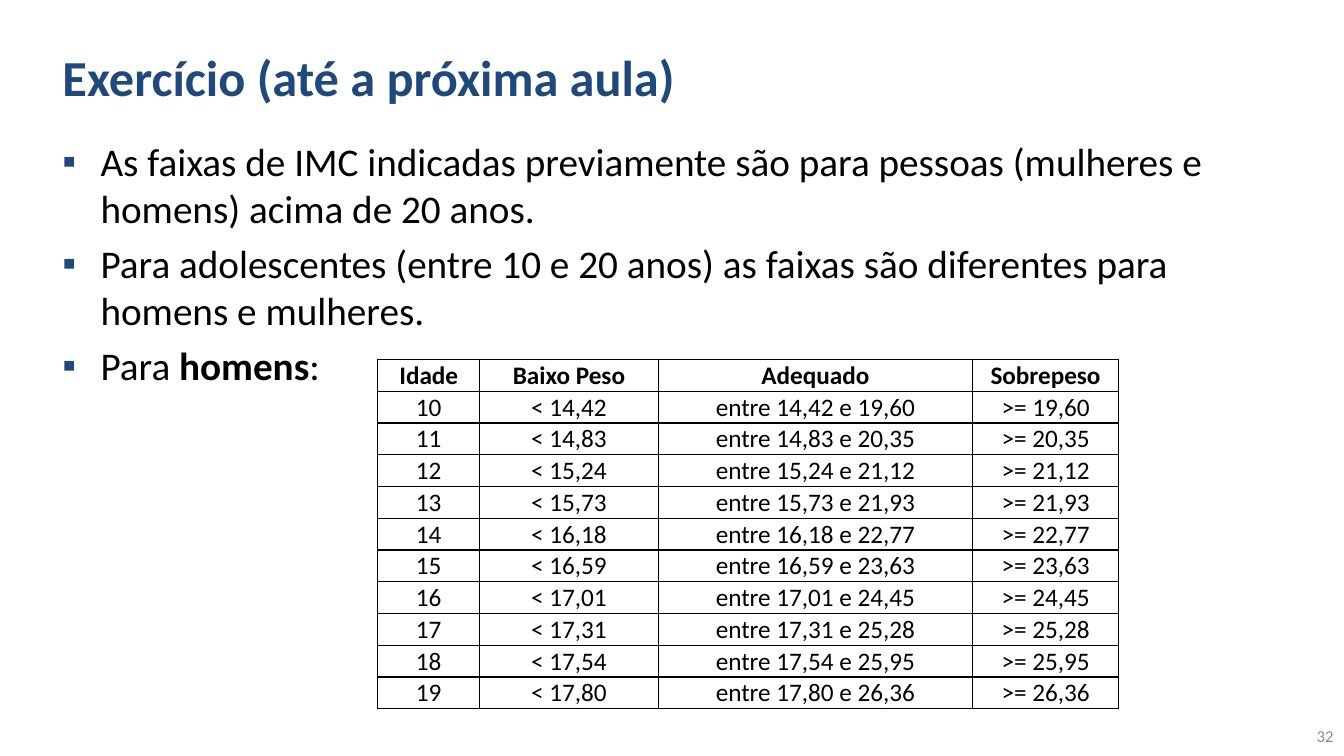
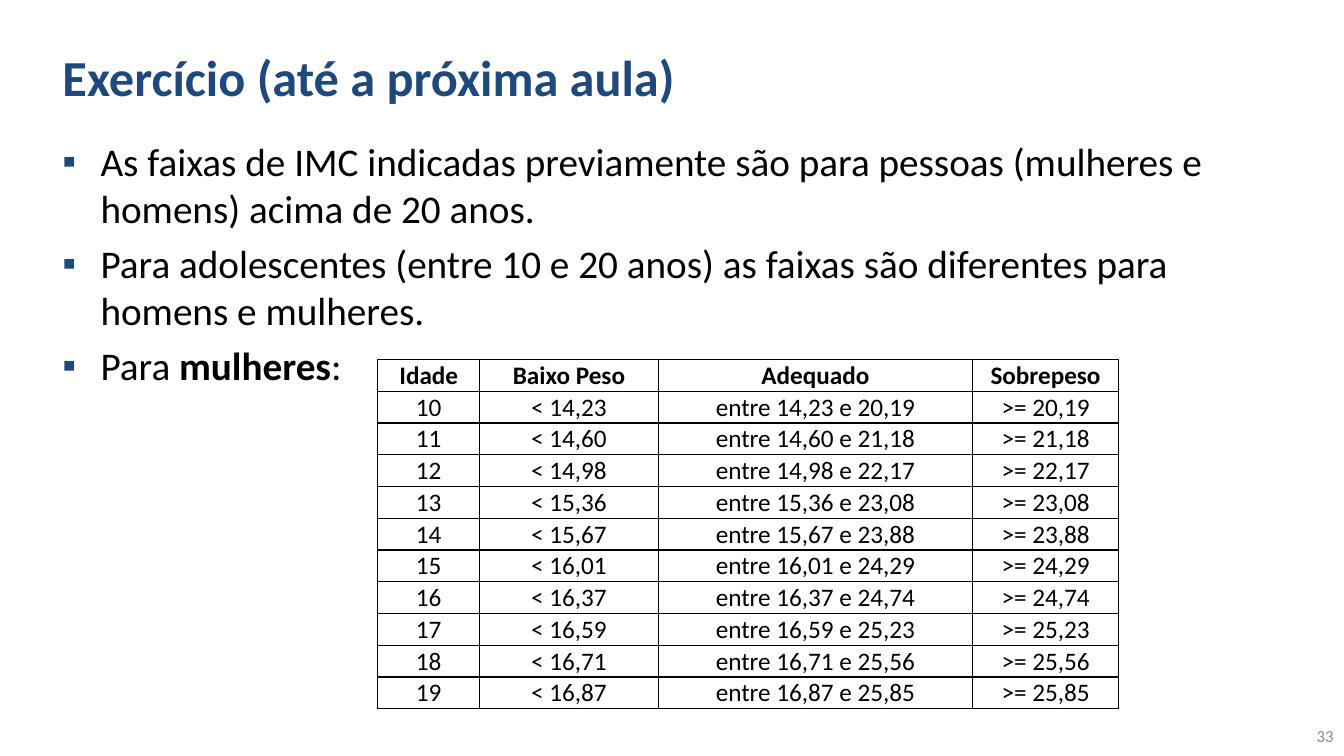
from lxml.etree import SubElement
from pptx import Presentation
from pptx.dml.color import RGBColor
from pptx.enum.text import MSO_ANCHOR as Anchor, MSO_AUTO_SIZE as AutoSize, PP_ALIGN as Align
from pptx.oxml.ns import qn
from pptx.util import Cm, Pt

# Content
TITLE = "Exercício (até a próxima aula)"
INTRO = [
    "As faixas de IMC indicadas previamente são para pessoas (mulheres e homens) acima de 20 anos.",
    "Para adolescentes (entre 10 e 20 anos) as faixas são diferentes para homens e mulheres.",
]
HEADER = ["Idade", "Baixo Peso", "Adequado", "Sobrepeso"]
FIRST_AGE, FIRST_PAGE = 10, 32
# Each group: lower and upper limit of the adequate range, one pair per age
GROUPS = {
    "homens": [
        ("14,42", "19,60"), ("14,83", "20,35"), ("15,24", "21,12"), ("15,73", "21,93"),
        ("16,18", "22,77"), ("16,59", "23,63"), ("17,01", "24,45"), ("17,31", "25,28"),
        ("17,54", "25,95"), ("17,80", "26,36"),
    ],
    "mulheres": [
        ("14,23", "20,19"), ("14,60", "21,18"), ("14,98", "22,17"), ("15,36", "23,08"),
        ("15,67", "23,88"), ("16,01", "24,29"), ("16,37", "24,74"), ("16,59", "25,23"),
        ("16,71", "25,56"), ("16,87", "25,85"),
    ],
}

# Shared style
FONT = "Calibri"
BLUE, BLACK, GREY, WHITE = "1F497D", "000000", "8C8C8C", "FFFFFF"
COL_WIDTHS = [2.57, 4.5, 7.92, 3.68]
ROW_HEIGHT = 0.8
INDENT = Cm(0.96)


def rgb(color):
    return RGBColor.from_string(color)


def add_run(p, text, size, color=BLACK, bold=False):
    r = p.add_run()
    r.text = text
    r.font.name, r.font.size, r.font.bold = FONT, Pt(size), bold
    r.font.color.rgb = rgb(color)


def place(sp, left, top, width, height):
    sp.left, sp.top, sp.width, sp.height = Cm(left), Cm(top), Cm(width), Cm(height)


def prepare(tf, anchor):
    tf.word_wrap, tf.auto_size, tf.vertical_anchor = True, AutoSize.NONE, anchor


def add_color(parent, color):
    SubElement(parent, qn("a:srgbClr"), val=color)


def set_bullet(p):
    p.space_before = Pt(5.6)
    pPr = p._p.get_or_add_pPr()
    pPr.set("marL", str(INDENT))
    pPr.set("indent", str(-INDENT))
    add_color(SubElement(pPr, qn("a:buClr")), BLUE)
    SubElement(pPr, qn("a:buFont"), typeface="Arial")
    SubElement(pPr, qn("a:buChar"), char="▪")


def set_borders(cell):
    tcPr = cell._tc.get_or_add_tcPr()
    for side in ("lnL", "lnR", "lnT", "lnB"):
        ln = SubElement(tcPr, qn(f"a:{side}"), w=str(Pt(1)))
        add_color(SubElement(ln, qn("a:solidFill")), BLACK)


def add_title(s):
    sp = s.shapes.title
    place(sp, 1.32, 0.33, 26.87, 3.18)
    prepare(sp.text_frame, Anchor.MIDDLE)
    p = sp.text_frame.paragraphs[0]
    p.alignment = Align.LEFT
    add_run(p, TITLE, 36, BLUE, True)


def add_body(s, group):
    sp = s.placeholders[1]
    place(sp, 1.32, 3.33, 31.5, 3.12)
    tf = sp.text_frame
    prepare(tf, Anchor.TOP)
    items = [[(text, False)] for text in INTRO]
    items.append([("Para ", False), (group, True), (":", False)])
    for i, runs in enumerate(items):
        p = tf.add_paragraph() if i else tf.paragraphs[0]
        set_bullet(p)
        for text, bold in runs:
            add_run(p, text, 28, bold=bold)


def add_page_number(s, number):
    sp = s.shapes.add_textbox(Cm(27.94), Cm(18.03), Cm(5.92), Cm(1.02))
    prepare(sp.text_frame, Anchor.MIDDLE)
    p = sp.text_frame.paragraphs[0]
    p.alignment = Align.RIGHT
    add_run(p, str(number), 12, GREY)


def add_ranges(s, limits):
    rows = [HEADER] + [
        [str(age), f"< {low}", f"entre {low} e {high}", f">= {high}"]
        for age, (low, high) in enumerate(limits, FIRST_AGE)
    ]
    table = s.shapes.add_table(len(rows), len(HEADER), Cm(9.52), Cm(9.06),
                               Cm(sum(COL_WIDTHS)), Cm(ROW_HEIGHT * len(rows))).table
    table.horz_banding = False
    for column, width in zip(table.columns, COL_WIDTHS):
        column.width = Cm(width)
    for i, row in enumerate(rows):
        table.rows[i].height = Cm(ROW_HEIGHT)
        for j, text in enumerate(row):
            cell = table.cell(i, j)
            set_borders(cell)
            cell.fill.solid()
            cell.fill.fore_color.rgb = rgb(WHITE)
            cell.vertical_anchor = Anchor.MIDDLE
            cell.margin_left = cell.margin_right = cell.margin_top = Cm(0.02)
            cell.margin_bottom = 0
            p = cell.text_frame.paragraphs[0]
            p.alignment = Align.CENTER
            add_run(p, text, 18, bold=i == 0)


def main():
    prs = Presentation()
    prs.slide_width, prs.slide_height = Cm(33.87), Cm(19.05)
    for number, (group, limits) in enumerate(GROUPS.items(), FIRST_PAGE):
        s = prs.slides.add_slide(prs.slide_layouts[1])
        add_title(s)
        add_body(s, group)
        add_page_number(s, number)
        add_ranges(s, limits)
    prs.save("out.pptx")


if __name__ == "__main__":
    main()
